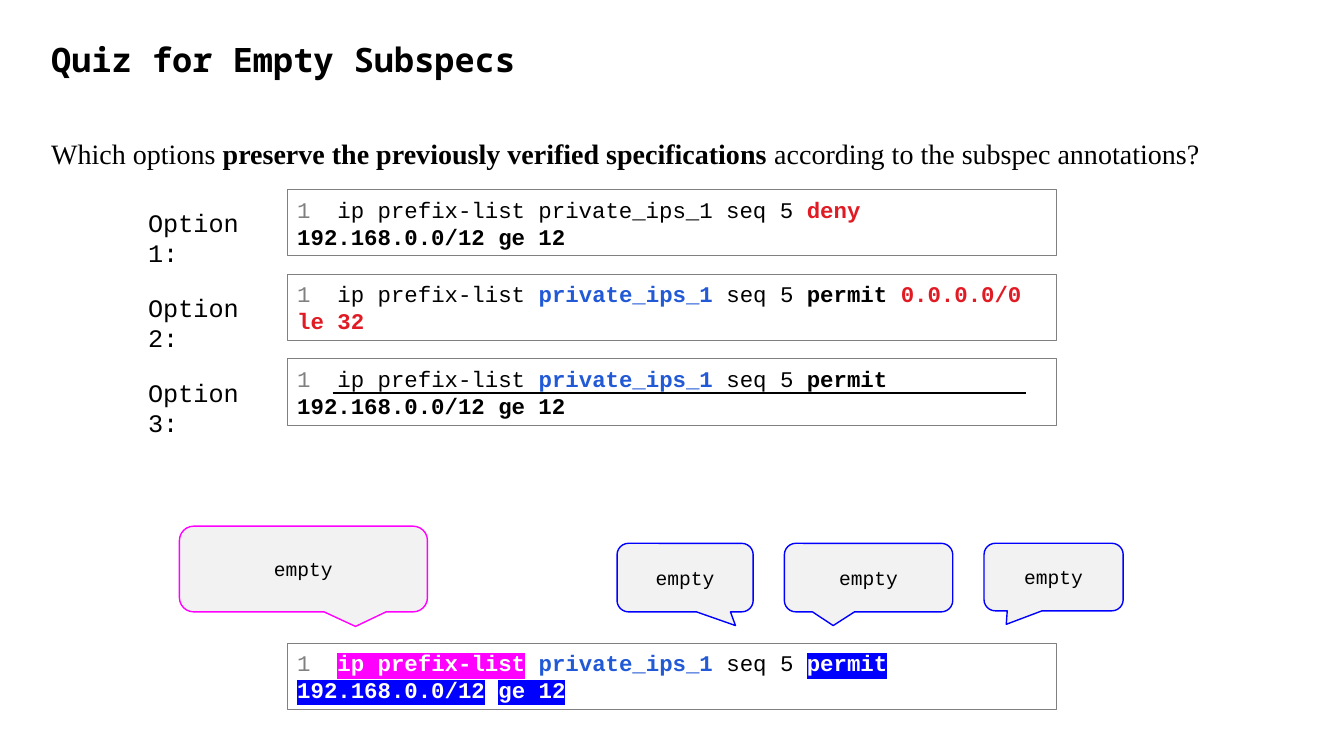
from lxml import etree
from pptx import Presentation
from pptx.dml.color import RGBColor
from pptx.enum.shapes import MSO_CONNECTOR, MSO_SHAPE
from pptx.enum.text import MSO_ANCHOR, PP_ALIGN
from pptx.oxml.ns import qn
from pptx.util import Inches, Pt

RECTANGLE = MSO_SHAPE.RECTANGLE
CALLOUT = MSO_SHAPE.ROUNDED_RECTANGULAR_CALLOUT
STRAIGHT = MSO_CONNECTOR.STRAIGHT
MIDDLE, TOP = MSO_ANCHOR.MIDDLE, MSO_ANCHOR.TOP
LEFT, CENTER = PP_ALIGN.LEFT, PP_ALIGN.CENTER

BLACK = RGBColor(0x00, 0x00, 0x00)
WHITE = RGBColor(0xFF, 0xFF, 0xFF)
GRAY = RGBColor(0x80, 0x80, 0x80)
PALE = RGBColor(0xF2, 0xF2, 0xF2)
RED = RGBColor(0xE0, 0x1B, 0x24)
NAME_BLUE = RGBColor(0x22, 0x59, 0xD6)
BLUE = RGBColor(0x00, 0x00, 0xFF)
MAGENTA = RGBColor(0xFF, 0x00, 0xFF)

TITLE_FONT, BODY_FONT, CODE_FONT = "Noto Sans Mono", "Times New Roman", "Courier New"

PLAIN = {"color": BLACK}
BOLD = {"color": BLACK, "bold": True}
NUMBER = {"color": GRAY}
CHANGED = {"color": RED, "bold": True}
LIST_NAME = {"color": NAME_BLUE, "bold": True}
ON_MAGENTA = {"color": WHITE, "bold": True, "highlight": MAGENTA}
ON_BLUE = {"color": WHITE, "bold": True, "highlight": BLUE}

NAMED_LIST = [("1", NUMBER), ("  ip prefix-list ", PLAIN),
              ("private_ips_1", LIST_NAME), (" seq 5 ", PLAIN)]
OPTIONS = [
    [("1", NUMBER), ("  ip prefix-list private_ips_1 seq 5 ", PLAIN),
     ("deny", CHANGED), (" 192.168.0.0/12 ge 12", BOLD)],
    NAMED_LIST + [("permit ", BOLD), ("0.0.0.0/0 le 32", CHANGED)],
    NAMED_LIST + [("permit 192.168.0.0/12 ge 12", BOLD)],
]
ANNOTATED = [
    ("1  ", NUMBER), ("ip prefix-list", ON_MAGENTA), (" ", PLAIN),
    ("private_ips_1", LIST_NAME), (" seq 5 ", PLAIN), ("permit", ON_BLUE),
    (" ", PLAIN), ("192.168.0.0/12", ON_BLUE), (" ", PLAIN), ("ge 12", ON_BLUE),
]
# left, top, width, height, pointer x, pointer y, outline
CALLOUTS = [
    (9.76, 5.39, 1.38, 0.67, -0.34, 0.7, BLUE),
    (6.12, 5.39, 1.35, 0.68, 0.37, 0.7, BLUE),
    (7.78, 5.39, 1.67, 0.68, -0.21, 0.7, BLUE),
    (1.78, 5.22, 2.46, 0.85, 0.21, 0.67, MAGENTA),
]
CODE_LEFT, CODE_WIDTH = 2.85, 7.63
FIRST_OPTION_TOP, OPTION_STEP = 1.88, 0.84


def highlight(span, color):
    """Place the highlight straight after the text fill, as the schema requires."""
    mark = etree.Element(qn("a:highlight"))
    etree.SubElement(mark, qn("a:srgbClr"), val=str(color))
    span.font.fill._xPr.find(qn("a:solidFill")).addnext(mark)


def write(shape, spans, font, size, anchor=TOP, **paragraph_format):
    frame = shape.text_frame
    frame.word_wrap = True
    frame.vertical_anchor = anchor
    para = frame.paragraphs[0]
    for name, value in paragraph_format.items():
        setattr(para, name, value)
    for text, style in spans:
        span = para.add_run()
        span.text = text
        font_format = {"name": font, "size": Pt(size), "bold": style.get("bold", False)}
        for name, value in font_format.items():
            setattr(span.font, name, value)
        span.font.color.rgb = style["color"]
        if "highlight" in style:
            highlight(span, style["highlight"])


def add_text(page, left, top, width, height, *content, **text_format):
    box = page.shapes.add_textbox(*map(Inches, (left, top, width, height)))
    write(box, *content, **text_format)


def add_outlined(page, kind, left, top, width, height, color, weight):
    shape = page.shapes.add_shape(kind, *map(Inches, (left, top, width, height)))
    shape.shadow.inherit = False
    shape.line.color.rgb = color
    shape.line.width = Pt(weight)
    return shape


def add_code(page, top, spans):
    box = add_outlined(page, RECTANGLE, CODE_LEFT, top, CODE_WIDTH, 0.66, GRAY, 0.75)
    box.fill.background()
    write(box, spans, CODE_FONT, 16, anchor=MIDDLE, alignment=LEFT)


def add_callout(page, left, top, width, height, pointer_x, pointer_y, color):
    callout = add_outlined(page, CALLOUT, left, top, width, height, color, 1)
    callout.fill.solid()
    callout.fill.fore_color.rgb = PALE
    callout.adjustments[0] = pointer_x
    callout.adjustments[1] = pointer_y
    write(callout, [("empty", PLAIN)], CODE_FONT, 14,
          anchor=MIDDLE, alignment=CENTER, space_after=Pt(3))


def add_rule(page, left, right, top):
    rule = page.shapes.add_connector(STRAIGHT, *map(Inches, (left, top, right, top)))
    rule.line.color.rgb = BLACK
    rule.line.width = Pt(1.25)
    etree.SubElement(rule._element.spPr, qn("a:effectLst"))


def main():
    deck = Presentation()
    deck.slide_width, deck.slide_height = Inches(13.33), Inches(7.5)
    page = deck.slides.add_slide(deck.slide_layouts[6])

    add_text(page, 0.41, 0.21, 12.5, 0.8, [("Quiz for Empty Subspecs", BOLD)],
             TITLE_FONT, 24, anchor=MIDDLE, line_spacing=0.9)
    question = [("Which options ", PLAIN),
                ("preserve the previously verified specifications", BOLD),
                (" according to the subspec annotations?", PLAIN)]
    add_text(page, 0.41, 1.24, 12.83, 0.5, question, BODY_FONT, 20, line_spacing=1.2)

    for index, spans in enumerate(OPTIONS):
        top = FIRST_OPTION_TOP + index * OPTION_STEP
        add_code(page, top, spans)
        add_text(page, 1.37, top + 0.13, 1.2, 0.4,
                 [(f"Option {index + 1}:", PLAIN)], CODE_FONT, 18)
    add_rule(page, 3.3, 10.18, 3.9)

    add_code(page, 6.38, ANNOTATED)
    for callout in CALLOUTS:
        add_callout(page, *callout)

    deck.save("out.pptx")


if __name__ == "__main__":
    main()
